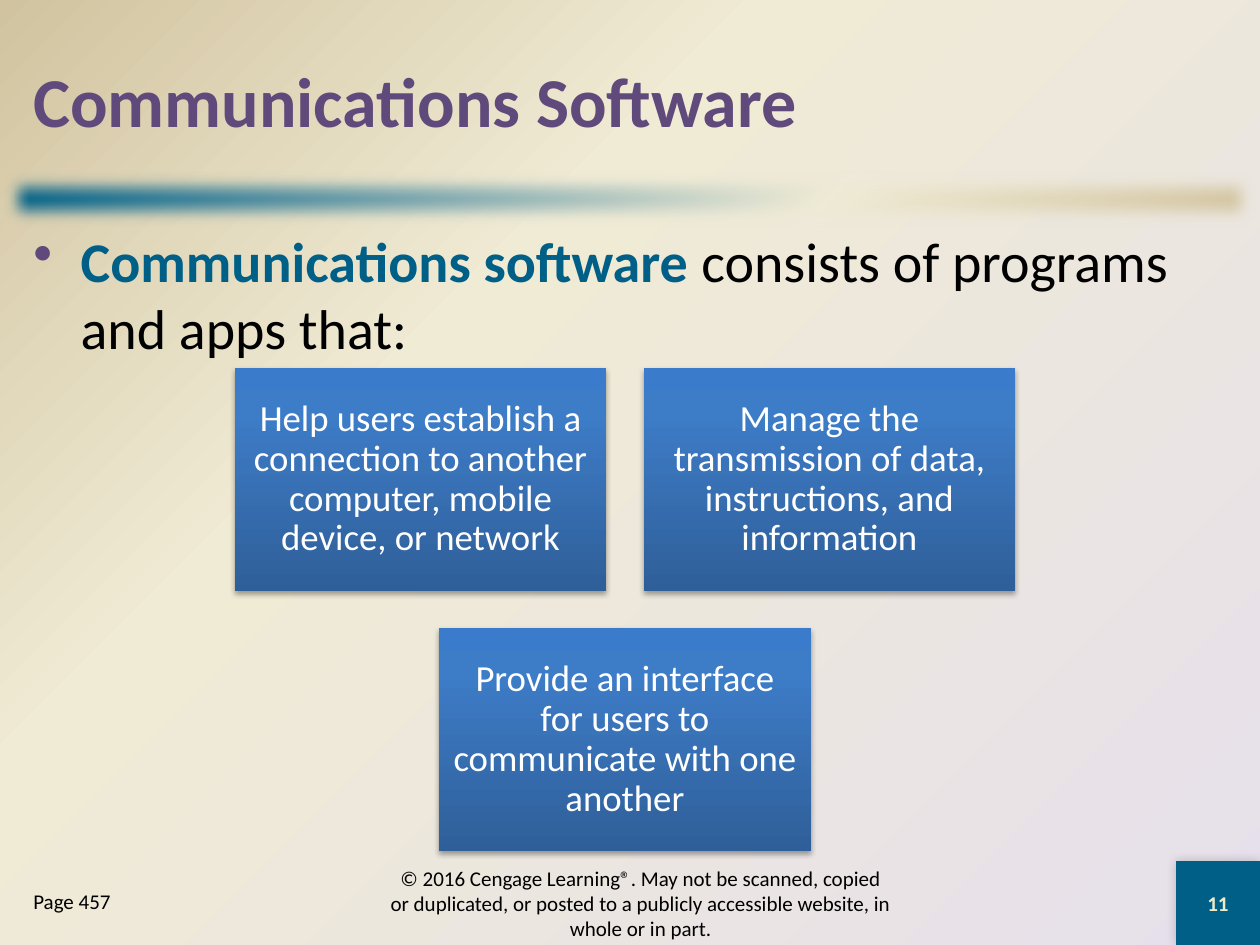
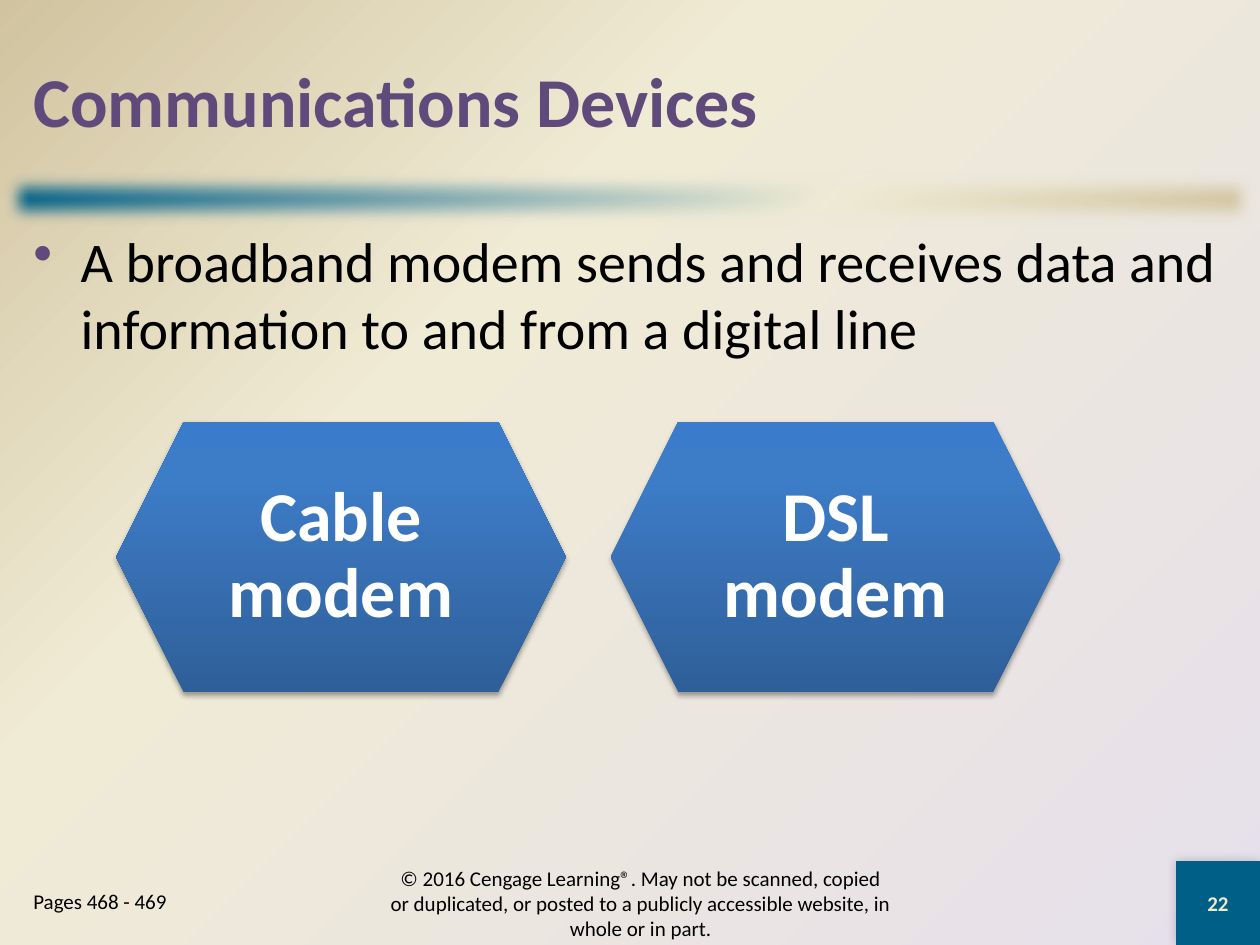
"""Build two slides on communications software and communications devices."""
from pptx import Presentation
from pptx import util as u
from pptx.dml.color import RGBColor
from pptx.enum import shapes, text
from pptx.oxml import parse_xml
from pptx.oxml.ns import nsdecls, qn

PURPLE = RGBColor(0x60, 0x4A, 0x7B)
TEAL = RGBColor(0x00, 0x5F, 0x86)
LAVENDER = RGBColor(0xE6, 0xE0, 0xEC)
CREAM = RGBColor(0xF0, 0xEB, 0xD5)
SAND = RGBColor(0xD1, 0xC3, 0x9F)
PALE = RGBColor(0xEE, 0xEB, 0xCA)
BLACK = RGBColor(0, 0, 0)
WHITE = RGBColor(0xFF, 0xFF, 0xFF)
BLUES = {0: RGBColor(0x2F, 0x5F, 0x99), 80: RGBColor(0x3D, 0x7C, 0xC7),
         100: RGBColor(0x3A, 0x7C, 0xCB)}

W, H = 10, 7.5
MARGIN = W / 60
CORNER = W / 15
LEFT, CENTER = text.PP_ALIGN.LEFT, text.PP_ALIGN.CENTER
TOP, MIDDLE = text.MSO_ANCHOR.TOP, text.MSO_ANCHOR.MIDDLE
NS = nsdecls("a")
SHADOW = ('<a:outerShdw %s blurRad="{}" dist="{}" dir="{}" rotWithShape="0">'
          '<a:srgbClr val="000000"><a:alpha val="{}"/></a:srgbClr></a:outerShdw>' % NS)
CARD_SHADOW = SHADOW.format(u.Pt(3.1), u.Pt(1.8), 90 * 60000, 35000)
CORNER_SHADOW = SHADOW.format(u.Pt(6), 0, 225 * 60000, 20000)
SOFT_EDGE = f'<a:softEdge {NS} rad="{u.Pt(10)}"/>'
LINEAR = '<a:lin ang="{}" scaled="0"/>'
RADIAL = '<a:path path="circle"><a:fillToRect l="100000" t="100000"/></a:path>'
COPYRIGHT = ("© 2016 Cengage Learning®. May not be scanned, copied or duplicated, "
             "or posted to a publicly accessible website, in whole or in part.")

SLIDES = [
    {"title": "Communications Software", "page": "Page 457", "number": "11",
     "body": [("Communications software ", {"bold": True, "color": TEAL}),
              ("consists of programs and apps that:", {})],
     "kind": shapes.MSO_SHAPE.RECTANGLE, "middle": 4.96, "top": 2.92, "width": 2.95,
     "inset": 0.09, "format": {"size": u.Pt(21), "color": WHITE},
     "rows": [["Help users establish a connection to another computer, mobile device, or network",
               "Manage the transmission of data, instructions, and information"],
              ["Provide an interface for users to communicate with one another"]]},
    {"title": "Communications Devices", "page": "Pages 468 - 469", "number": "22",
     "body": [("A broadband modem sends and receives data and information "
               "to and from a digital line", {})],
     "kind": shapes.MSO_SHAPE.HEXAGON, "middle": 4.67, "top": 3.35, "width": 3.57,
     "inset": 0.17, "format": {"size": u.Pt(40), "bold": True, "color": WHITE},
     "rows": [["Cable modem", "DSL modem"]]},
]


def paint(fill, props, stops, way, effect=None):
    fill.solid()
    marks = "".join(f'<a:gs pos="{pos * 1000}"><a:srgbClr val="{color}"/></a:gs>'
                    for pos, color in stops.items())
    props.replace(props.find(qn("a:solidFill")), parse_xml(
        f'<a:gradFill {NS} rotWithShape="1"><a:gsLst>{marks}</a:gsLst>{way}</a:gradFill>'))
    if effect:
        props.find(qn("a:effectLst")).append(parse_xml(effect))


def write(sp, runs, align, anchor, base, bullet=False):
    tf = sp.text_frame
    tf.word_wrap = True
    tf.vertical_anchor = anchor
    p = tf.paragraphs[0]
    p.alignment = align
    if bullet:
        pPr = p._p.get_or_add_pPr()
        pPr.set("marL", str(u.Inches(0.375)))
        pPr.set("indent", str(-u.Inches(0.375)))
        pPr.append(parse_xml(f'<a:buClr {NS}><a:srgbClr val="{PURPLE}"/></a:buClr>'))
        pPr.append(parse_xml(f'<a:buChar {NS} char="•"/>'))
    for words, extra in runs:
        r = p.add_run()
        r.text = words
        for key, value in {"name": "Calibri", "color": BLACK, **base, **extra}.items():
            if key == "color":
                r.font.color.rgb = value
            else:
                setattr(r.font, key, value)
    return p


prs = Presentation()
prs.slide_width, prs.slide_height = u.Inches(W), u.Inches(H)
corner_box = (W - CORNER, H - CORNER, CORNER, CORNER)

for data in SLIDES:
    s = prs.slides.add_slide(prs.slide_layouts[6])
    fill = s.background.fill
    fill.solid()
    paint(fill, s.element.find(".//" + qn("p:bgPr")),
          {0: LAVENDER, 65: CREAM, 100: SAND}, RADIAL)

    drawn = [
        (shapes.MSO_SHAPE.RECTANGLE, (0, 1.33, W, 0.5), {0: TEAL, 65: CREAM, 100: SAND},
         45, SOFT_EDGE, None),
        (shapes.MSO_SHAPE.RECTANGLE, corner_box, {0: TEAL, 100: TEAL}, 0, CORNER_SHADOW, None),
    ]
    width = data["width"]
    height, gap = width * 0.6, width / 10
    for row, labels in enumerate(data["rows"]):
        left = data["middle"] - (len(labels) * (width + gap) - gap) / 2
        for col, label in enumerate(labels):
            box = (left + col * (width + gap), data["top"] + row * (height + gap), width, height)
            drawn.append((data["kind"], box, BLUES, 270, CARD_SHADOW, label))

    small = {"size": u.Pt(12)}
    texts = [
        ((MARGIN, MARGIN, W - 2 * MARGIN, 1.25), [(data["title"], {})], LEFT, MIDDLE,
         {"size": u.Pt(40), "bold": True, "color": PURPLE}, False),
        ((MARGIN, 1.75, W - 2 * MARGIN, 5.08), data["body"], LEFT, TOP,
         {"size": u.Pt(32)}, True),
        ((3, 6.92, 4.17, 0.5), [(COPYRIGHT, {})], CENTER, MIDDLE, small, False),
        ((MARGIN, 7, 1.83, 0.5), [(data["page"], {})], LEFT, TOP, small, False),
        (corner_box, [(data["number"], {})], CENTER, MIDDLE,
         {**small, "bold": True, "color": PALE}, False),
    ]

    for kind, box, stops, angle, effect, label in drawn:
        sp = s.shapes.add_shape(kind, *map(u.Inches, box))
        sp.line.fill.background()
        sp.shadow.inherit = False
        paint(sp.fill, sp.element.spPr, stops, LINEAR.format(angle * 60000), effect)
        if label:
            p = write(sp, [(label, {})], CENTER, MIDDLE, data["format"])
            p.line_spacing = 0.9
            for side in ("left", "right", "top", "bottom"):
                setattr(sp.text_frame, f"margin_{side}", u.Inches(data["inset"]))

    for box, *content in texts:
        write(s.shapes.add_textbox(*map(u.Inches, box)), *content)

prs.save("out.pptx")
